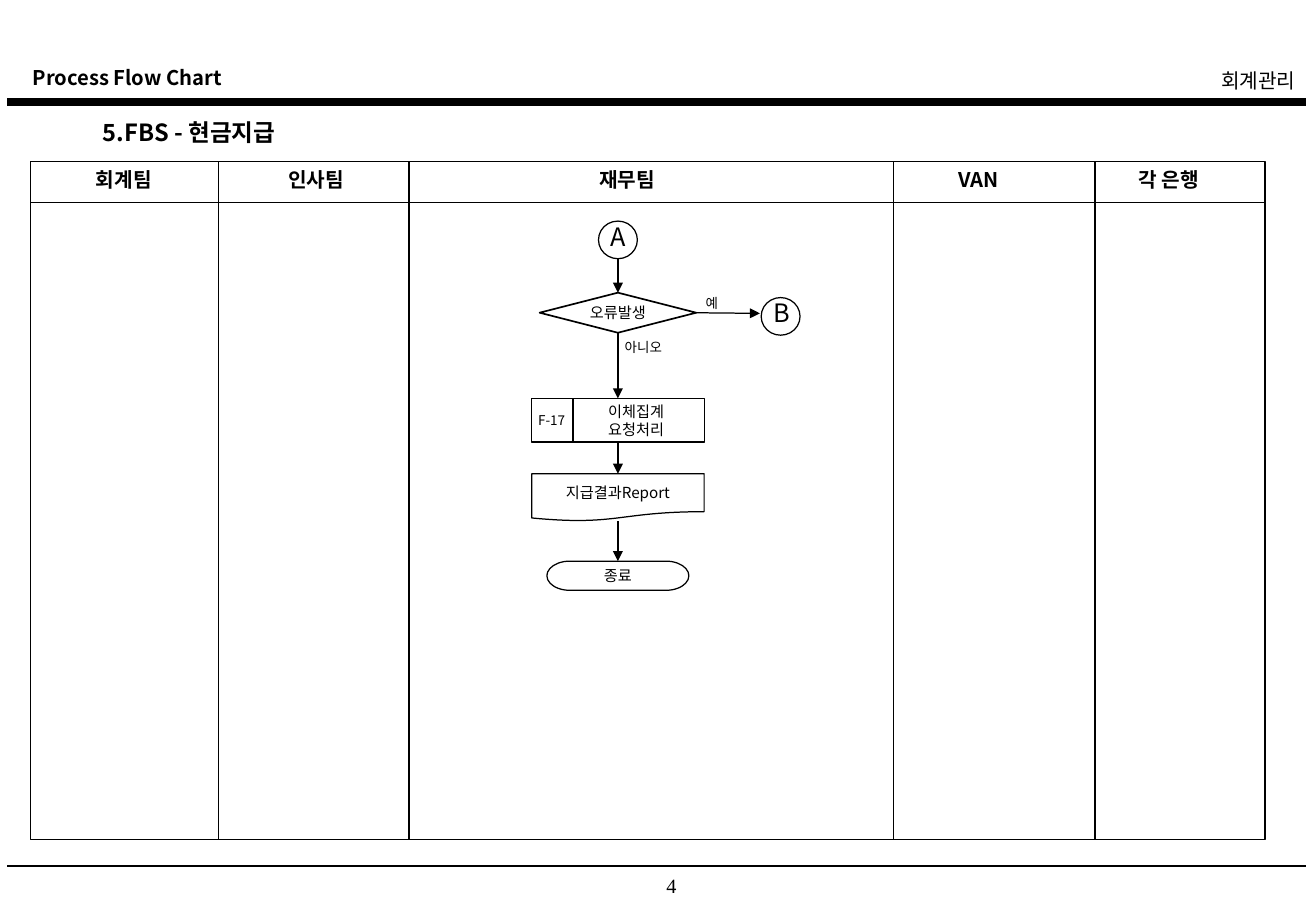
from lxml.etree import SubElement
from pptx import Presentation
from pptx.dml.color import RGBColor
from pptx.enum.shapes import MSO_CONNECTOR, MSO_SHAPE
from pptx.enum.text import MSO_ANCHOR, PP_ALIGN
from pptx.oxml.ns import qn
from pptx.util import Inches, Pt

BLACK = RGBColor(0, 0, 0)
MID = 5.09
LEFT, TOP, RIGHT, BASE = 0.25, 1.33, 10.42, 6.91


class Chart:
    face = "Noto Sans CJK KR"
    color = BLACK
    width = 0.75

    def __init__(self, slide):
        self.shapes = slide.shapes

    def label(self, frame, text, size, bold=False, align=PP_ALIGN.CENTER, face=None):
        face = face or self.face
        frame.text = text
        for para in frame.paragraphs:
            para.alignment = align
            font = para.font
            font.size = Pt(size)
            font.bold = bold
            font.name = face
            font.color.rgb = self.color
            props = para._p.pPr.find(qn("a:defRPr"))
            SubElement(props, qn("a:ea"), typeface=face)

    def text(self, text, x, y, w, h, size, pad=0.1, mid=False, wrap=True, **style):
        frame = self.shapes.add_textbox(
            Inches(x), Inches(y), Inches(w), Inches(h)).text_frame
        frame.word_wrap = wrap
        frame.margin_left = frame.margin_right = Inches(pad)
        if mid:
            frame.margin_top = frame.margin_bottom = 0
            frame.vertical_anchor = MSO_ANCHOR.MIDDLE
        self.label(frame, text, size, **style)

    def shape(self, kind, x, y, w, h, text="", width=None):
        shape = self.shapes.add_shape(kind, Inches(x), Inches(y), Inches(w), Inches(h))
        shape.shadow.inherit = False
        shape.fill.background()
        shape.line.color.rgb = self.color
        shape.line.width = Pt(width or self.width)
        if text:
            shape.text_frame.word_wrap = False
            shape.text_frame.vertical_anchor = MSO_ANCHOR.MIDDLE
            self.label(shape.text_frame, text, 9)
        return shape

    def node(self, kind, y, w, h, text="", width=None):
        return self.shape(kind, MID - w / 2, y, w, h, text, width)

    def mark(self, text, x, y):
        self.shape(MSO_SHAPE.OVAL, x, y, 0.32, 0.31)
        self.text(text, x, y - 0.05, 0.32, 0.35, 15, wrap=False)

    def line(self, x1, y1, x2, y2, width=None):
        line = self.shapes.add_connector(
            MSO_CONNECTOR.STRAIGHT, Inches(x1), Inches(y1), Inches(x2), Inches(y2))
        line.line.color.rgb = self.color
        line.line.width = Pt(width or self.width)
        SubElement(line._element.spPr, qn("a:effectLst"))
        return line

    def arrow(self, x1, y1, x2, y2, start=None, end=None, side=2):
        line = self.line(x1, y1, x2, y2)
        SubElement(line.line._get_or_add_ln(), qn("a:tailEnd"), type="triangle")
        if start is not None:
            line.begin_connect(start, side)
        if end is not None:
            line.end_connect(end, 0)


def main():
    deck = Presentation()
    deck.slide_width, deck.slide_height = Inches(10.84), Inches(7.5)
    chart = Chart(deck.slides.add_slide(deck.slide_layouts[6]))

    chart.text("Process Flow Chart", 0.17, 0.49, 4.35, 0.3, 12,
               bold=True, align=PP_ALIGN.LEFT)
    chart.text("회계관리", 6.08, 0.51, 4.69, 0.5, 12, align=PP_ALIGN.RIGHT)
    for y, width in ((0.84, 4.5), (7.13, 1)):
        chart.line(0.06, y, 10.76, y, width)
    chart.text("5.FBS - 현금지급", 0.75, 0.92, 1.75, 0.34, 14,
               bold=True, align=PP_ALIGN.LEFT)
    chart.text("4", 5.14, 7.14, 0.78, 0.27, 12, face="Times New Roman")

    chart.shape(MSO_SHAPE.RECTANGLE, LEFT, TOP, RIGHT - LEFT, BASE - TOP)
    chart.line(LEFT, 1.67, RIGHT, 1.67)
    for x in (1.8, 3.37, 7.36, 9.02):
        chart.line(x, TOP, x, BASE)
    for team, x, w in (("회계팀", 0.25, 1.54), ("인사팀", 1.95, 1.31),
                       ("재무팀", 4, 2.33), ("VAN", 7.1, 1.92),
                       ("각 은행", 8.88, 1.5)):
        chart.text(team, x, TOP, w, 0.3, 12, bold=True)

    chart.mark("A", 4.93, 1.82)
    chart.mark("B", 6.27, 2.45)
    error = chart.node(MSO_SHAPE.DIAMOND, 2.41, 1.29, 0.33, "오류발생", 1)
    chart.text("아니오", 4.86, 2.74, 0.88, 0.24, 8)
    chart.text("예", 5.7, 2.38, 0.33, 0.24, 8)
    task = chart.node(MSO_SHAPE.FLOWCHART_PROCESS, 3.28, 1.42, 0.36)
    chart.line(4.72, 3.28, 4.72, 3.64)
    chart.text("F-17", 4.38, 3.39, 0.33, 0.13, 8, pad=0, mid=True)
    chart.text("이체집계\n요청처리", 4.74, 3.31, 1, 0.3, 9, mid=True)
    report = chart.node(MSO_SHAPE.FLOWCHART_DOCUMENT, 3.9, 1.42, 0.39, "지급결과Report")
    finish = chart.node(MSO_SHAPE.FLOWCHART_TERMINATOR, 4.62, 1.17, 0.24, "종료")

    chart.arrow(MID, 2.13, MID, 2.41, end=error)
    chart.arrow(5.74, 2.58, 6.26, 2.58, start=error, side=3)
    chart.arrow(MID, 2.74, MID, 3.28, error, task)
    chart.arrow(MID, 3.64, MID, 3.9, task, report)
    chart.arrow(MID, 4.27, MID, 4.62, report, finish)

    deck.save("out.pptx")


if __name__ == "__main__":
    main()
